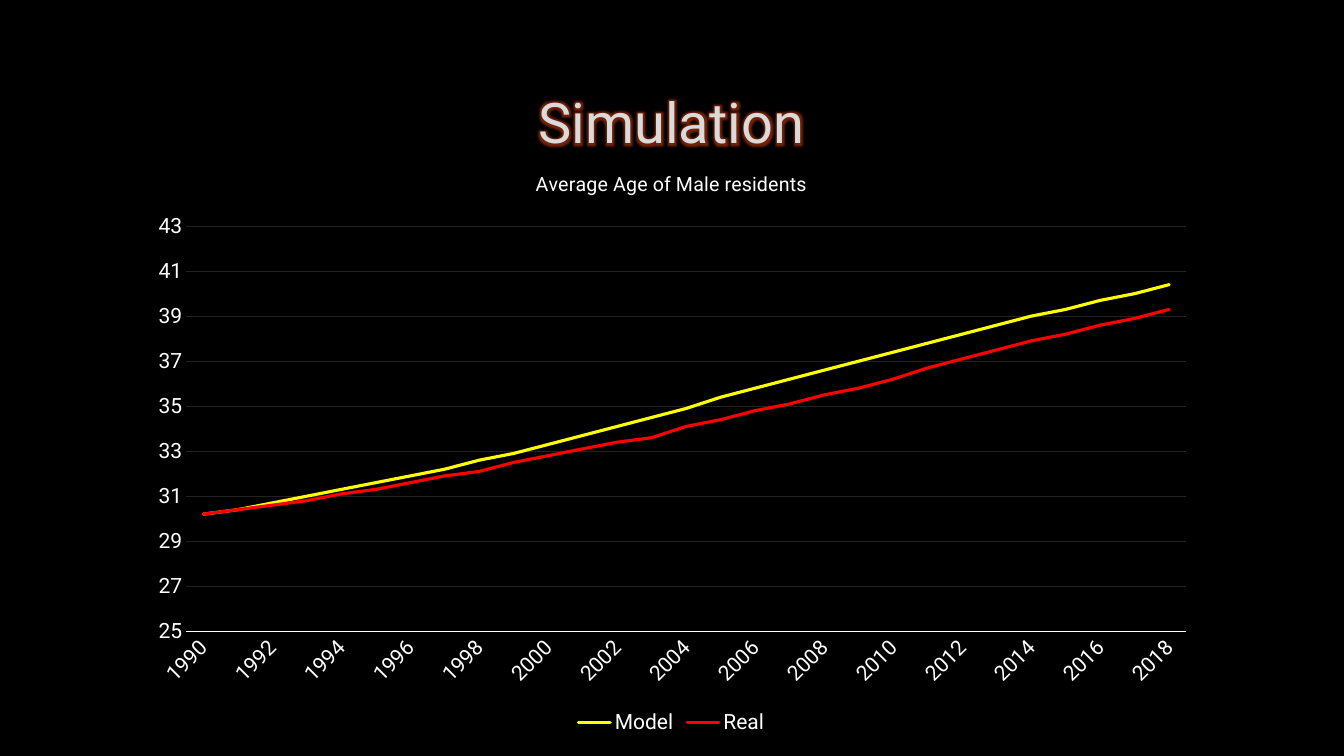
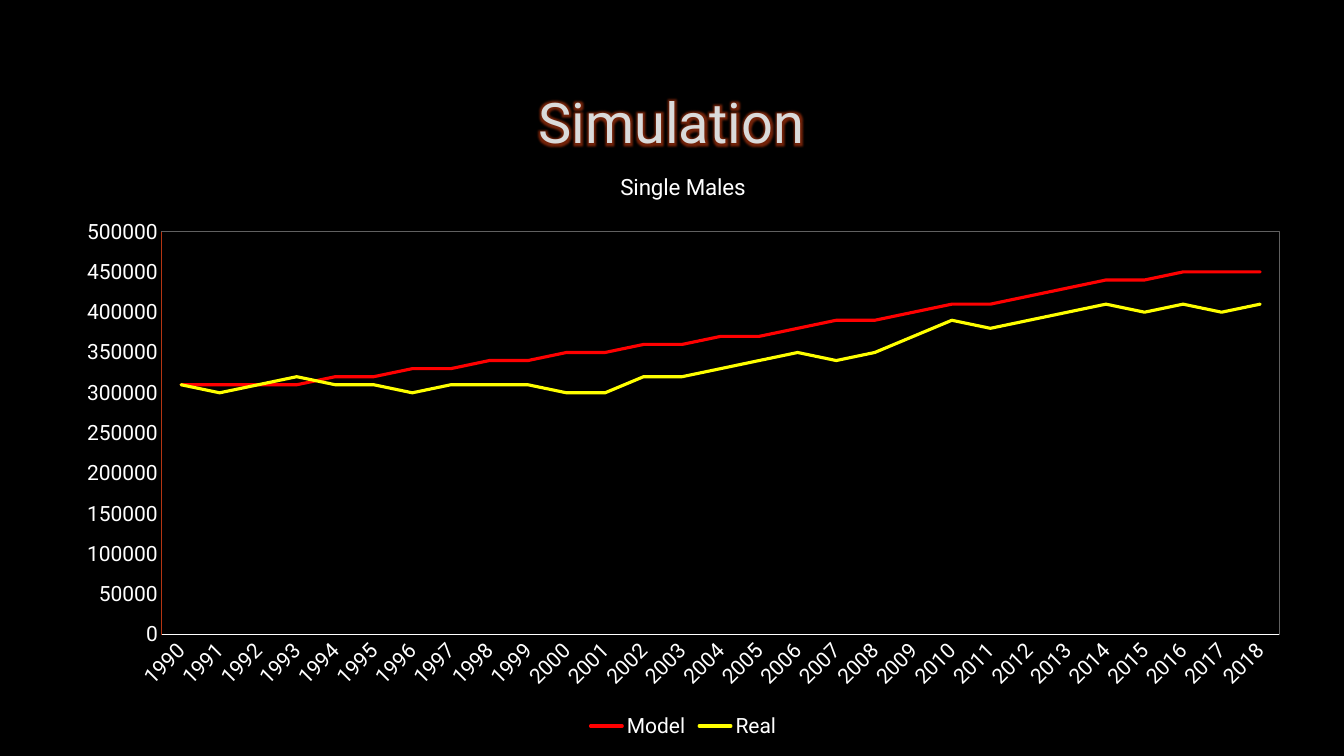
"""Build two line-chart slides that compare a simulation with real figures."""
import pptx
import pptx.chart.data
import pptx.dml.color
import pptx.enum.chart
import pptx.enum.text
import pptx.oxml
import pptx.oxml.ns
import pptx.util

HUES = {"back": "000000", "title": "DADADA", "text": "FFFFFF", "grid": "222222",
        "edge": "606060", "axis": "B43512", "glow": "C03A10",
        "gold": "FFFF00", "red": "FF0000"}
FACE = "Roboto"
NS = pptx.oxml.ns.nsdecls("a", "c")
YEARS = [str(year) for year in range(1990, 2019)]
TITLE = (7.5, 9, 84.9, 14.1)

charts = [
    {"title": "Average Age of Male residents", "size": 14, "skip": 2,
     "at": (10.1, 19.87, 79.7, 77.9), "head": (37, 2.8),
     "plot": (4.7, 12.9, 93.4, 68.8),
     "scale": {"minimum_scale": 25, "maximum_scale": 43, "major_unit": 2,
               "has_major_gridlines": True},
     "axis": None, "edge": None, "form": "0.0",
     "lines": [
         ("Model", "gold",
          [30.2, 30.4, 30.7, 31, 31.3, 31.6, 31.9, 32.2, 32.6, 32.9, 33.3, 33.7, 34.1, 34.5, 34.9,
           35.4, 35.8, 36.2, 36.6, 37, 37.4, 37.8, 38.2, 38.6, 39, 39.3, 39.7, 40, 40.4]),
         ("Real", "red",
          [30.2, 30.4, 30.6, 30.8, 31.1, 31.3, 31.6, 31.9, 32.1, 32.5, 32.8, 33.1, 33.4, 33.6, 34.1,
           34.4, 34.8, 35.1, 35.5, 35.8, 36.2, 36.7, 37.1, 37.5, 37.9, 38.2, 38.6, 38.9, 39.3])]},
    {"title": "Single Males", "size": 16, "skip": 1,
     "at": (4.65, 20, 92.4, 78.27), "head": (44.6, 3),
     "plot": (8, 13.6, 90, 68.1),
     "scale": {"minimum_scale": 0, "maximum_scale": 500000, "major_unit": 50000,
               "has_major_gridlines": False},
     "axis": "axis", "edge": "edge", "form": "0",
     "lines": [
         ("Model", "red", [10000 * k for k in (
             31, 31, 31, 31, 32, 32, 33, 33, 34, 34, 35, 35, 36, 36, 37,
             37, 38, 39, 39, 40, 41, 41, 42, 43, 44, 44, 45, 45, 45)]),
         ("Real", "gold", [10000 * k for k in (
             31, 30, 31, 32, 31, 31, 30, 31, 31, 31, 30, 30, 32, 32, 33,
             34, 35, 34, 35, 37, 39, 38, 39, 40, 41, 40, 41, 40, 41)])]},
]


def style(item, size, hue):
    """Set size, face and colour of a font."""
    for key, val in {"size": pptx.util.Pt(size), "name": FACE, "bold": False}.items():
        setattr(item, key, val)
    item.color.rgb = pptx.dml.color.RGBColor.from_string(HUES[hue])


def place(spot, inner):
    """Return a manual chart layout for percentages of the chart's size."""
    tags = "<c:layoutTarget val='inner'/>" if inner else ""
    tags += "<c:xMode val='edge'/><c:yMode val='edge'/>"
    tags += "".join(f"<c:{k} val='{v / 100:.4f}'/>" for k, v in zip("xywh", spot))
    return pptx.oxml.parse_xml(
        f"<c:layout {NS}><c:manualLayout>{tags}</c:manualLayout></c:layout>")


deck = pptx.Presentation()
deck.slide_width = pptx.util.Inches(13.33)
deck.slide_height = pptx.util.Inches(7.5)
sides = (deck.slide_width, deck.slide_height) * 2
fill = deck.slide_master.background.fill
fill.solid()
fill.fore_color.rgb = pptx.dml.color.RGBColor.from_string(HUES["back"])

for info in charts:
    slide = deck.slides.add_slide(deck.slide_layouts[6])

    spot = [int(a * b / 100) for a, b in zip(TITLE, sides)]
    frame = slide.shapes.add_textbox(*spot).text_frame
    frame.word_wrap = True
    frame.vertical_anchor = pptx.enum.text.MSO_ANCHOR.MIDDLE
    line = frame.paragraphs[0]
    line.alignment = pptx.enum.text.PP_ALIGN.CENTER
    run = line.add_run()
    run.text = "Simulation"
    style(run.font, 40, "title")
    run._r.rPr.find(pptx.oxml.ns.qn("a:solidFill")).addnext(pptx.oxml.parse_xml(
        f"<a:effectLst {NS}><a:glow rad='88900'><a:srgbClr val='{HUES['glow']}'>"
        "<a:alpha val='60000'/></a:srgbClr></a:glow></a:effectLst>"))

    data = pptx.chart.data.CategoryChartData(number_format=info["form"])
    data.categories = YEARS
    for name, hue, vals in info["lines"]:
        data.add_series(name, vals)
    spot = [int(a * b / 100) for a, b in zip(info["at"], sides)]
    chart = slide.shapes.add_chart(pptx.enum.chart.XL_CHART_TYPE.LINE, *spot, data).chart
    style(chart.font, 10, "text")
    chart.plots[0].vary_by_categories = False

    chart.has_title = True
    head = chart.chart_title.text_frame
    head.text = info["title"]
    style(head.paragraphs[0].runs[0].font, info["size"], "text")
    chart.chart_title.include_in_layout = False

    chart.has_legend = True
    chart.legend.position = pptx.enum.chart.XL_LEGEND_POSITION.BOTTOM
    chart.legend.include_in_layout = False
    style(chart.legend.font, 15, "text")

    years, scale = chart.category_axis, chart.value_axis
    for key, val in info["scale"].items():
        setattr(scale, key, val)
    scale.tick_labels.number_format = "0"
    scale.tick_labels.number_format_is_linked = False
    strokes = [(years.format.line, "text", 0.75), (scale.format.line, info["axis"], 0.75)]
    if scale.has_major_gridlines:
        strokes.append((scale.major_gridlines.format.line, "grid", 0.75))
    for axis in (years, scale):
        axis.major_tick_mark = pptx.enum.chart.XL_TICK_MARK.NONE
        axis.minor_tick_mark = pptx.enum.chart.XL_TICK_MARK.NONE
        style(axis.tick_labels.font, 15, "text")
    for row, (name, hue, vals) in zip(chart.plots[0].series, info["lines"]):
        row.smooth = False
        row.marker.style = pptx.enum.chart.XL_MARKER_STYLE.NONE
        strokes.append((row.format.line, hue, 2.25))
    for line, hue, width in strokes:
        if hue:
            line.color.rgb = pptx.dml.color.RGBColor.from_string(HUES[hue])
            line.width = pptx.util.Pt(width)
        else:
            line.fill.background()

    root = chart.element
    for stroke in root.xpath(".//c:ser/c:spPr/a:ln"):
        stroke.set("cap", "rnd")
    for old in root.xpath(".//c:title/c:layout | .//c:plotArea/c:layout"):
        old.getparent().remove(old)
    root.xpath(".//c:title/c:tx")[0].addnext(place(info["head"], False))
    area = root.xpath(".//c:plotArea")[0]
    area.insert(0, place(info["plot"], True))
    root.xpath(".//c:catAx/c:txPr/a:bodyPr")[0].set("rot", "-2700000")
    root.xpath(".//c:catAx/c:noMultiLvlLbl")[0].addprevious(
        pptx.oxml.parse_xml(f"<c:tickLblSkip {NS} val='{info['skip']}'/>"))
    edge = "<a:noFill/>"
    if info["edge"]:
        edge = f"<a:solidFill><a:srgbClr val='{HUES[info['edge']]}'/></a:solidFill>"
    area.append(pptx.oxml.parse_xml(
        f"<c:spPr {NS}><a:noFill/><a:ln w='9525'>{edge}</a:ln></c:spPr>"))
    root.xpath("./c:txPr")[0].addprevious(pptx.oxml.parse_xml(
        f"<c:spPr {NS}><a:noFill/><a:ln><a:noFill/></a:ln></c:spPr>"))

deck.save("out.pptx")
